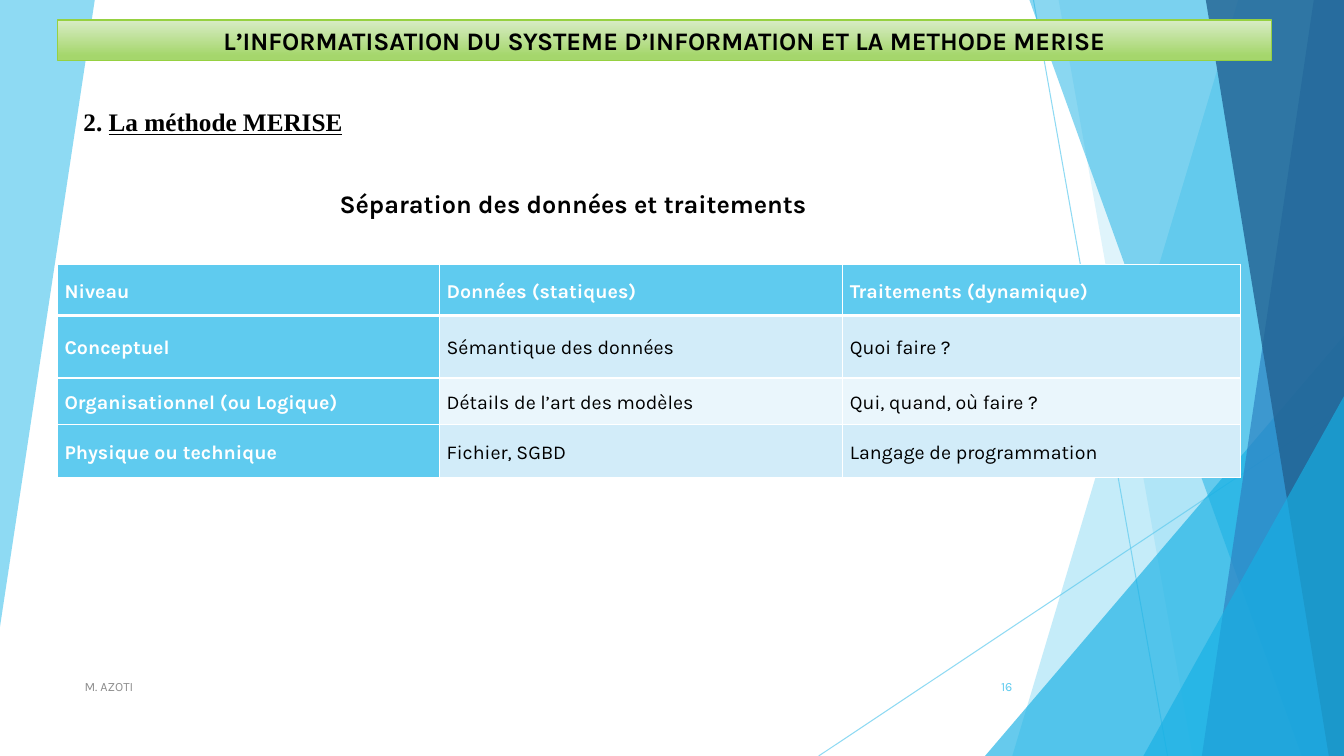
from dataclasses import dataclass

from lxml.etree import SubElement
from pptx import Presentation
from pptx.dml.color import RGBColor
from pptx.enum.shapes import MSO_CONNECTOR, MSO_SHAPE
from pptx.enum.text import MSO_ANCHOR, MSO_AUTO_SIZE, PP_ALIGN
from pptx.oxml.ns import qn
from pptx.util import Inches, Pt


@dataclass(frozen=True)
class Theme:
    sky: str = "5FCBEF"
    cyan: str = "17B0E4"
    blue: str = "2E83C3"
    navy: str = "226292"
    green_light: str = "D8ECC5"
    green: str = "A5D66C"
    green_edge: str = "96D141"
    band_dark: str = "D2ECF9"
    band_light: str = "EAF6FC"
    white: str = "FFFFFF"
    black: str = "000000"
    grey: str = "8C8C8C"
    sans: str = "Karla"
    serif: str = "Times New Roman"
    title_size: int = 18
    table_size: int = 14
    footer_size: int = 9


@dataclass(frozen=True)
class Box:
    left: float
    top: float
    width: float
    height: float

    @property
    def right(self):
        return self.left + self.width

    @property
    def bottom(self):
        return self.top + self.height

    def lengths(self):
        return [Inches(value) for value in (self.left, self.top, self.width, self.height)]


THEME = Theme()
PAGE = Box(0, 0, 13.33, 7.5)

LEVELS = [
    ["Niveau", "Données (statiques)", "Traitements (dynamique)"],
    ["Conceptuel", "Sémantique des données", "Quoi faire\u00a0?"],
    ["Organisationnel (ou Logique)", "Détails de l’art des modèles", "Qui, quand, où faire\u00a0?"],
    ["Physique ou technique", "Fichier, SGBD", "Langage de programmation"],
]
COLUMN_WIDTHS = [3.79, 4, 3.94]
ROW_HEIGHTS = [0.51, 0.62, 0.46, 0.53]


def rgb(colour):
    return RGBColor.from_string(colour)


def set_opacity(shape, percent):
    for colour in shape.element.spPr.iter(qn("a:srgbClr")):
        SubElement(colour, qn("a:alpha"), val=str(percent * 1000))


def paint(shape, colour, opacity):
    shape.shadow.inherit = False
    shape.fill.solid()
    shape.fill.fore_color.rgb = rgb(colour)
    shape.line.fill.background()
    set_opacity(shape, opacity)


def write(frame, text, size=THEME.title_size, font=THEME.sans, colour=THEME.black, bold=False,
          underline=None, align=PP_ALIGN.LEFT, spacing=None):
    """Add a span to the first paragraph of the frame and return the paragraph."""
    para = frame.paragraphs[0]
    para.alignment = align
    para.line_spacing = spacing
    span = para.add_run()
    span.text = text
    span.font.size = Pt(size)
    span.font.name = font
    span.font.bold = bold
    span.font.underline = underline
    span.font.color.rgb = rgb(colour)
    return para


def add_text_frame(page, box, wrap=True, anchor=MSO_ANCHOR.TOP, fit=MSO_AUTO_SIZE.SHAPE_TO_FIT_TEXT):
    frame = page.shapes.add_textbox(*box.lengths()).text_frame
    frame.word_wrap = wrap
    frame.vertical_anchor = anchor
    frame.auto_size = fit
    return frame


def add_polygon(page, points, colour, opacity):
    corners = [(Inches(x), Inches(y)) for x, y in points]
    builder = page.shapes.build_freeform(*corners[0])
    builder.add_line_segments(corners[1:], close=True)
    paint(builder.convert_to_shape(), colour, opacity)


def add_facet(page, box, top_x, bottom_x, colour, opacity):
    """Fill from a slanted left edge to the right side of the box."""
    points = [(box.left + top_x, box.top), (box.right, box.top),
              (box.right, box.bottom), (box.left + bottom_x, box.bottom)]
    add_polygon(page, points, colour, opacity)


def add_corner(page, box, width, height):
    """Place a triangle in the bottom right corner of the box."""
    place = Box(box.right - width, box.bottom - height, width, height)
    corner = page.shapes.add_shape(MSO_SHAPE.ISOSCELES_TRIANGLE, *place.lengths())
    corner.adjustments[0] = 1
    paint(corner, THEME.cyan, 66)


def add_ray(page, box, start, end):
    points = [Inches(value) for x, y in (start, end) for value in (box.left + x, box.top + y)]
    ray = page.shapes.add_connector(MSO_CONNECTOR.STRAIGHT, *points)
    ray.line.color.rgb = rgb(THEME.sky)
    ray.line.width = Pt(0.75)
    set_opacity(ray, 70)
    SubElement(ray.element.spPr, qn("a:effectLst"))


def add_backdrop(page, box):
    left_wedge = [(box.left, box.top), (box.left + 0.94, box.top), (box.left, box.top + 6.22)]
    add_polygon(page, left_wedge, THEME.sky, 70)
    add_ray(page, box, (10.25, 0), (11.58, box.height))
    add_ray(page, box, (box.width, 4.03), (8.12, box.height))
    add_facet(page, box, 12.28, 10.04, THEME.sky, 36)
    add_facet(page, box, 10.5, 11.83, THEME.sky, 20)
    add_corner(page, box, 3.56, 4.17)
    add_facet(page, box, 10.21, 12.91, THEME.cyan, 50)
    add_facet(page, box, 13.03, 11.92, THEME.blue, 70)
    add_facet(page, box, 11.96, 13.18, THEME.navy, 80)
    add_corner(page, box, 1.99, 3.57)


def add_banner(page, box, text):
    banner = page.shapes.add_shape(MSO_SHAPE.RECTANGLE, *box.lengths())
    banner.shadow.inherit = False
    banner.fill.gradient()
    banner.fill.gradient_angle = 270
    stops = [(0, THEME.green_light), (0.88, THEME.green)]
    for stop, (position, colour) in zip(banner.fill.gradient_stops, stops):
        stop.position = position
        stop.color.rgb = rgb(colour)
    banner.line.color.rgb = rgb(THEME.green_edge)
    banner.line.width = Pt(1)
    banner.text_frame.word_wrap = True
    banner.text_frame.vertical_anchor = MSO_ANCHOR.MIDDLE
    write(banner.text_frame, text, bold=True, align=PP_ALIGN.CENTER)


def add_section_heading(page, box, number, title):
    frame = add_text_frame(page, box, wrap=False)
    write(frame, number, font=THEME.serif, bold=True)
    para = write(frame, title, font=THEME.serif, bold=True, underline=True, spacing=1.15)
    para.space_before = Pt(12)
    para.space_after = Pt(5)


def add_borders(cell, widths):
    properties = cell._tc.get_or_add_tcPr()
    for side, width in widths.items():
        edge = SubElement(properties, qn(f"a:ln{side}"), w=str(Pt(width)))
        fill = SubElement(edge, qn("a:solidFill"))
        SubElement(fill, qn("a:srgbClr"), val=THEME.white)


def format_cell(cell, text, row, column):
    heading = row == 0 or column == 0
    band = THEME.band_dark if row % 2 else THEME.band_light
    add_borders(cell, {"L": 1, "R": 1, "T": 3 if row == 1 else 1, "B": 3 if row == 0 else 1})
    cell.fill.solid()
    cell.fill.fore_color.rgb = rgb(THEME.sky if heading else band)
    cell.margin_left = cell.margin_right = Inches(0.07)
    cell.margin_top = cell.margin_bottom = 0
    cell.vertical_anchor = MSO_ANCHOR.MIDDLE
    write(cell.text_frame, text, size=THEME.table_size, bold=heading, spacing=1.15,
          colour=THEME.white if heading else THEME.black)


def add_level_table(page, box):
    table = page.shapes.add_table(len(LEVELS), len(COLUMN_WIDTHS), *box.lengths()).table
    table.first_col = True
    for column, width in zip(table.columns, COLUMN_WIDTHS):
        column.width = Inches(width)
    for row, height in zip(table.rows, ROW_HEIGHTS):
        row.height = Inches(height)
    for row, texts in enumerate(LEVELS):
        for column, text in enumerate(texts):
            format_cell(table.cell(row, column), text, row, column)


def add_footer(page, box, author, number):
    parts = [(author, 0, 6.89, THEME.grey, PP_ALIGN.LEFT),
             (number, box.width - 0.75, 0.75, THEME.sky, PP_ALIGN.RIGHT)]
    for text, offset, width, colour, align in parts:
        place = Box(box.left + offset, box.top, width, box.height)
        frame = add_text_frame(page, place, anchor=MSO_ANCHOR.MIDDLE, fit=MSO_AUTO_SIZE.NONE)
        write(frame, text, size=THEME.footer_size, colour=colour, align=align)


def main():
    deck = Presentation()
    deck.slide_width, deck.slide_height = Inches(PAGE.width), Inches(PAGE.height)
    page = deck.slides.add_slide(deck.slide_layouts[6])
    add_backdrop(page, PAGE)
    add_section_heading(page, Box(0.73, 0.96, 2.8, 0.45), "2. ", "La méthode MERISE")
    add_banner(page, Box(0.57, 0.2, 12.04, 0.4),
               "L’INFORMATISATION DU SYSTEME D’INFORMATION ET LA METHODE MERISE")
    subtitle = add_text_frame(page, Box(3.27, 1.82, 8.83, 0.4))
    write(subtitle, "Séparation des données et traitements", bold=True)
    add_level_table(page, Box(0.57, 2.62, sum(COLUMN_WIDTHS), sum(ROW_HEIGHTS)))
    add_footer(page, Box(0.74, 6.61, 9.4, 0.4), "M. AZOTI", "16")
    deck.save("out.pptx")


if __name__ == "__main__":
    main()
